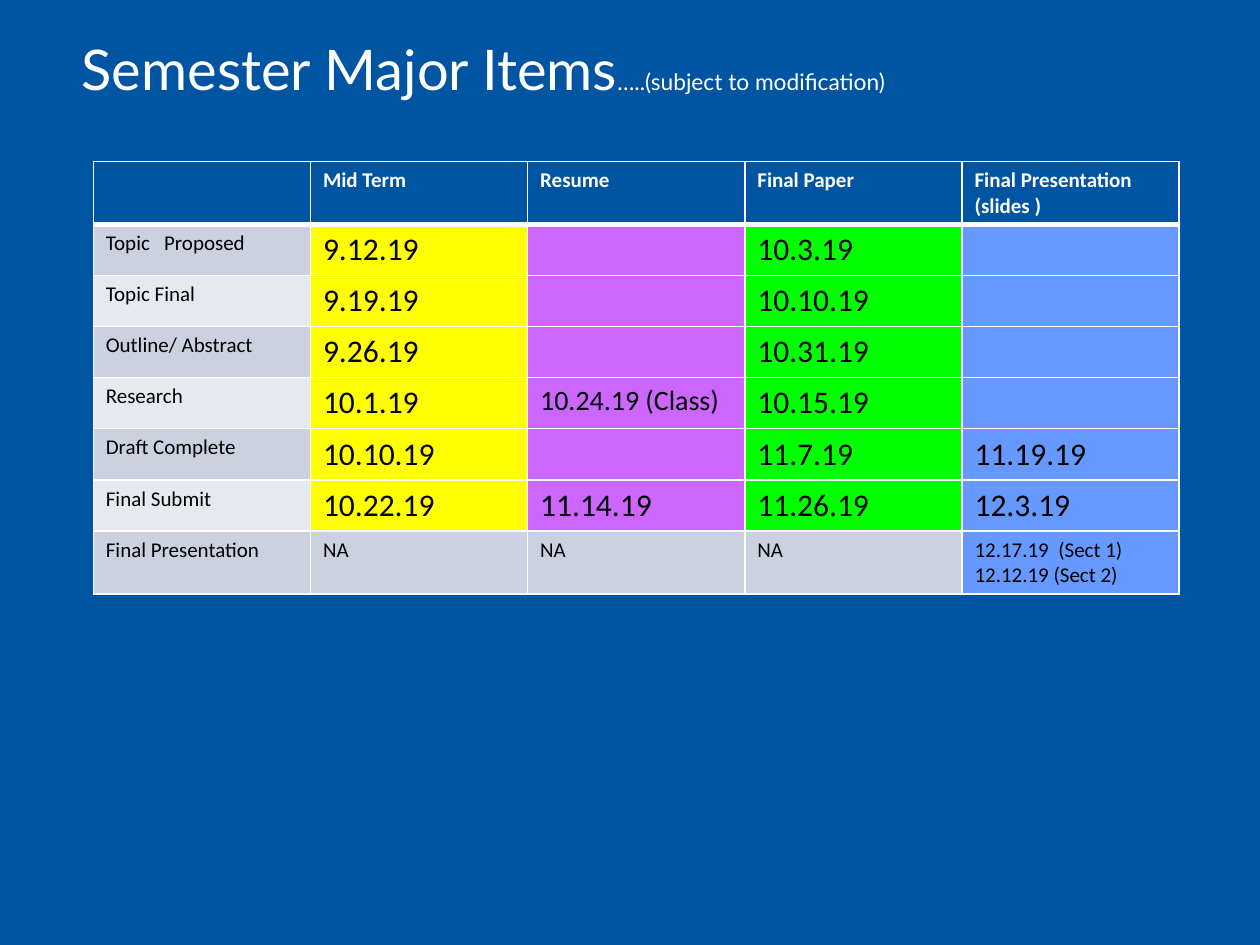
from lxml import etree
from pptx import Presentation
from pptx.dml.color import RGBColor
from pptx.enum.text import MSO_ANCHOR
from pptx.oxml.ns import qn
from pptx.util import Inches, Pt

MIDDLE = MSO_ANCHOR.MIDDLE
BLUE, WHITE, BLACK = "0055A2", "FFFFFF", "000000"
BANDS = ("CCD1E0", "E7E9F0")
COLUMN_FILLS = ("FFFF00", "CC66FF", "00FF00", "6699FF")
ROW_HEIGHT = Pt(29.2)

HEADER = ("", "Mid Term", "Resume", "Final Paper", "Final Presentation  (slides )")
ITEMS = (
    ("Topic   Proposed", "9.12.19", "", "10.3.19", ""),
    ("Topic Final", "9.19.19", "", "10.10.19", ""),
    ("Outline/ Abstract", "9.26.19", "", "10.31.19", ""),
    ("Research", "10.1.19", "10.24.19 (Class)", "10.15.19", ""),
    ("Draft Complete", "10.10.19", "", "11.7.19", "11.19.19"),
    ("Final Submit", "10.22.19", "11.14.19", "11.26.19", "12.3.19"),
    ("Final Presentation", "NA", "NA", "NA", "12.17.19  (Sect 1)\n12.12.19 (Sect 2)"),
)


def rgb(value):
    return RGBColor.from_string(value)


def style_font(font, name, size, color, bold=False):
    font.name, font.size, font.bold = name, Pt(size), bold
    font.color.rgb = rgb(color)


def set_borders(cell, widths):
    """Draw white cell borders; widths are points for left, right, top, bottom."""
    tcPr = cell._tc.get_or_add_tcPr()
    for i, (side, width) in enumerate(zip(("lnL", "lnR", "lnT", "lnB"), widths)):
        ln = etree.Element(qn(f"a:{side}"), w=str(Pt(width)))
        fill = etree.SubElement(ln, qn("a:solidFill"))
        etree.SubElement(fill, qn("a:srgbClr"), val=WHITE)
        tcPr.insert(i, ln)


def fill_cell(cell, text, fill, size, color, bold, widths):
    cell.fill.solid()
    cell.fill.fore_color.rgb = rgb(fill)
    set_borders(cell, widths)
    cell.text = text
    for p in cell.text_frame.paragraphs:
        style_font(p.font, "Calibri", size, color, bold)


def item_style(row, col, text):
    """Return the fill and text size of a cell below the header."""
    last_row = row == len(ITEMS)
    dated = col > 0 and (not last_row or col == len(COLUMN_FILLS))
    fill = COLUMN_FILLS[col - 1] if dated else BANDS[(row - 1) % 2]
    if col == 0 or last_row:
        return fill, 12
    return fill, 16 if "Class" in text else 18


def add_title(s, left, top, width, height):
    tf = s.shapes.add_textbox(left, top, width, height).text_frame
    tf.word_wrap = True
    tf.vertical_anchor = MIDDLE
    p = tf.paragraphs[0]
    p.line_spacing = 0.9
    for text, size in (("Semester Major Items", 32), ("…..(subject to modification)", 13)):
        r = p.add_run()
        r.text = text
        style_font(r.font, "Lato", size, WHITE)


def add_schedule(s, left, top, width):
    rows = len(ITEMS) + 1
    table = s.shapes.add_table(rows, len(HEADER), left, top, width, ROW_HEIGHT * rows).table
    for row in table.rows:
        row.height = ROW_HEIGHT
    for col, text in enumerate(HEADER):
        fill_cell(table.cell(0, col), text, BLUE, 12, WHITE, True, (1, 1, 1, 3))
    for row, texts in enumerate(ITEMS, 1):
        widths = (1, 1, 3 if row == 1 else 1, 1)
        for col, text in enumerate(texts):
            fill, size = item_style(row, col, text)
            fill_cell(table.cell(row, col), text, fill, size, BLACK, False, widths)


def main():
    prs = Presentation()
    prs.slide_width, prs.slide_height = Inches(10), Inches(7.5)
    s = prs.slides.add_slide(prs.slide_layouts[6])
    s.background.fill.solid()
    s.background.fill.fore_color.rgb = rgb(BLUE)
    width = Inches(8.62)
    add_title(s, Inches(0.55), Inches(0.09), width, Inches(0.97))
    add_schedule(s, Inches(0.74), Inches(1.28), width)
    prs.save("out.pptx")


if __name__ == "__main__":
    main()
